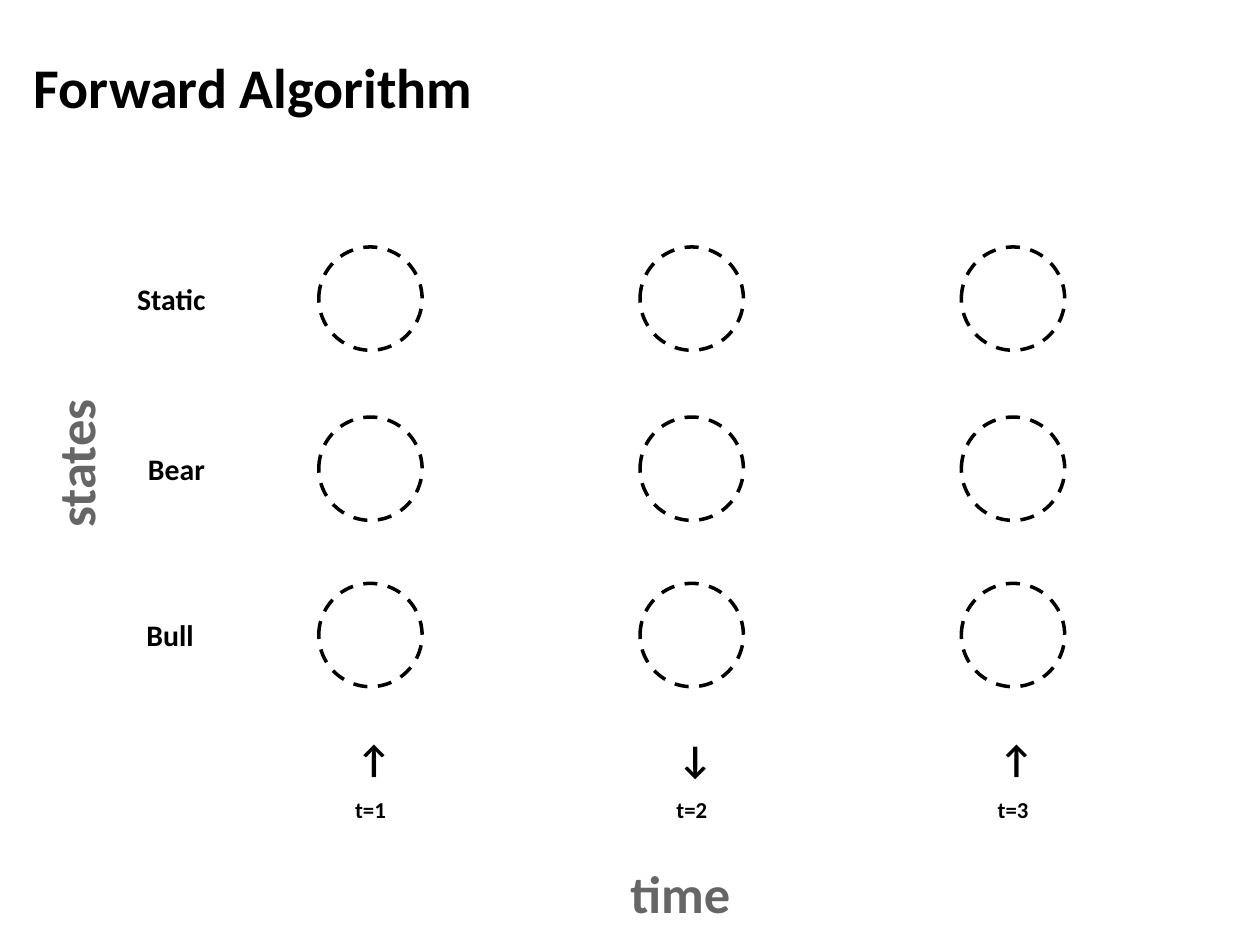
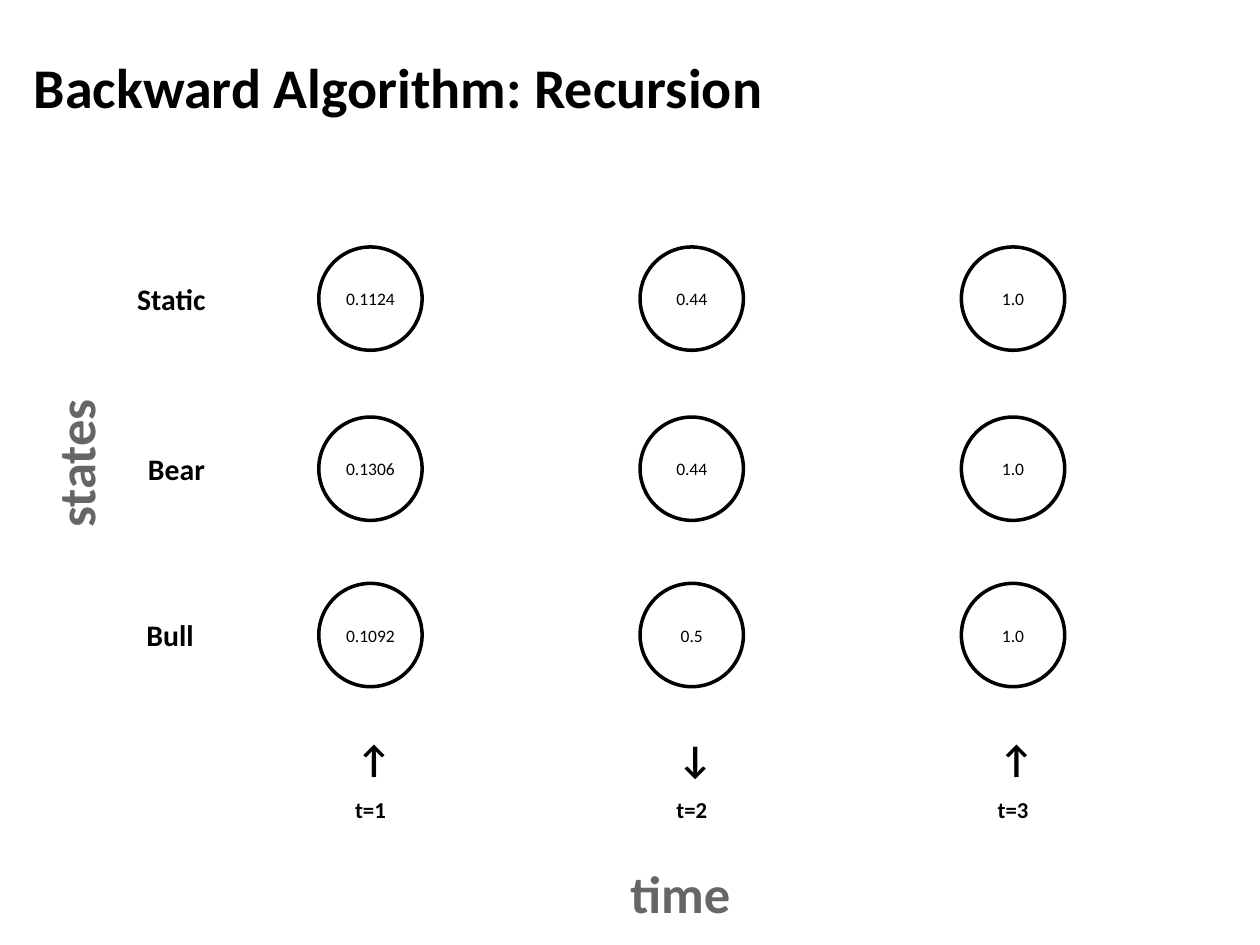
"""Build two trellis slides: states by time for the forward and backward algorithms."""
from pptx import Presentation, util as u
from pptx.dml.color import RGBColor
from pptx.enum import dml, shapes, text
from pptx.oxml.xmlchemy import OxmlElement

BLACK = RGBColor(0x00, 0x00, 0x00)
GRAY = RGBColor(0x66, 0x66, 0x66)
WHITE = RGBColor(0xFF, 0xFF, 0xFF)
FONT = "Calibri"

SIZE = 0.82
COLS = [2.94 + 2.55 * i for i in range(3)]
ROWS = {"Static": 2.37, "Bear": 3.72, "Bull": 5.04}
NAMES = {"Static": (1.36, 0.7), "Bear": (1.4, 0.59), "Bull": (1.35, 0.48)}
ARROWS = "↑↓↑"
SLIDES = [
    ("Forward Algorithm", None),
    ("Backward Algorithm: Recursion", {
        "Static": ["0.1124", "0.44", "1.0"],
        "Bear": ["0.1306", "0.44", "1.0"],
        "Bull": ["0.1092", "0.5", "1.0"],
    }),
]


def write(shape, words, size, color=BLACK, bold=True, align=text.PP_ALIGN.CENTER):
    frame = shape.text_frame
    frame.margin_left = frame.margin_right = 0
    frame.margin_top = frame.margin_bottom = 0
    frame.vertical_anchor = text.MSO_ANCHOR.MIDDLE
    frame.text = words
    para = frame.paragraphs[0]
    para.alignment = align
    font = para.runs[0].font
    font.name, font.size, font.bold = FONT, u.Pt(size), bold
    font.color.rgb = color
    return frame


def label(slide, words, x, y, wide, high, size, color=BLACK):
    box = slide.shapes.add_textbox(
        u.Inches(x - wide / 2), u.Inches(y - high / 2), u.Inches(wide), u.Inches(high))
    frame = write(box, words, size, color)
    frame.word_wrap = False
    frame.auto_size = text.MSO_AUTO_SIZE.SHAPE_TO_FIT_TEXT
    return box


deck = Presentation()
deck.slide_width, deck.slide_height = u.Inches(10), u.Inches(7.5)

for title, values in SLIDES:
    slide = deck.slides.add_slide(deck.slide_layouts[6])
    head = slide.shapes.add_textbox(
        u.Inches(0.17), u.Inches(0.12), u.Inches(9.5), u.Inches(1.12))
    frame = write(head, title, 32, align=text.PP_ALIGN.LEFT)
    frame.word_wrap = True
    frame.margin_left = frame.margin_right = u.Inches(0.1)
    frame.margin_top = frame.margin_bottom = u.Inches(0.05)

    label(slide, "time", 5.4, 7.08, 0.99, 0.5, 30, GRAY)
    for x, arrow in zip(COLS, ARROWS):
        label(slide, arrow, x, 6.02, 0.22, 0.37, 22)
    for step, x in enumerate(COLS, 1):
        label(slide, f"t={step}", x, 6.42, 0.32, 0.22, 13)

    for col, x in enumerate(COLS):
        for state, y in reversed(ROWS.items()):
            node = slide.shapes.add_shape(
                shapes.MSO_SHAPE.OVAL, u.Inches(x - SIZE / 2), u.Inches(y - SIZE / 2),
                u.Inches(SIZE), u.Inches(SIZE))
            node.shadow.inherit = False
            node.line.color.rgb = BLACK
            node.line.width = u.Pt(2)
            if x == COLS[-1]:
                node.fill.solid()
                node.fill.fore_color.rgb = WHITE
                alpha = OxmlElement("a:alpha")
                alpha.set("val", "19000")
                node.fill._xPr.solidFill.srgbClr.append(alpha)
            else:
                node.fill.background()
            if values:
                write(node, values[state][col], 10, bold=False)
            else:
                node.line.dash_style = dml.MSO_LINE.DASH

    for state, (x, wide) in NAMES.items():
        label(slide, state, x, ROWS[state], wide, 0.29, 17)
    label(slide, "states", 0.59, 3.68, 1.29, 0.5, 30, GRAY).rotation = 270

deck.save("out.pptx")
